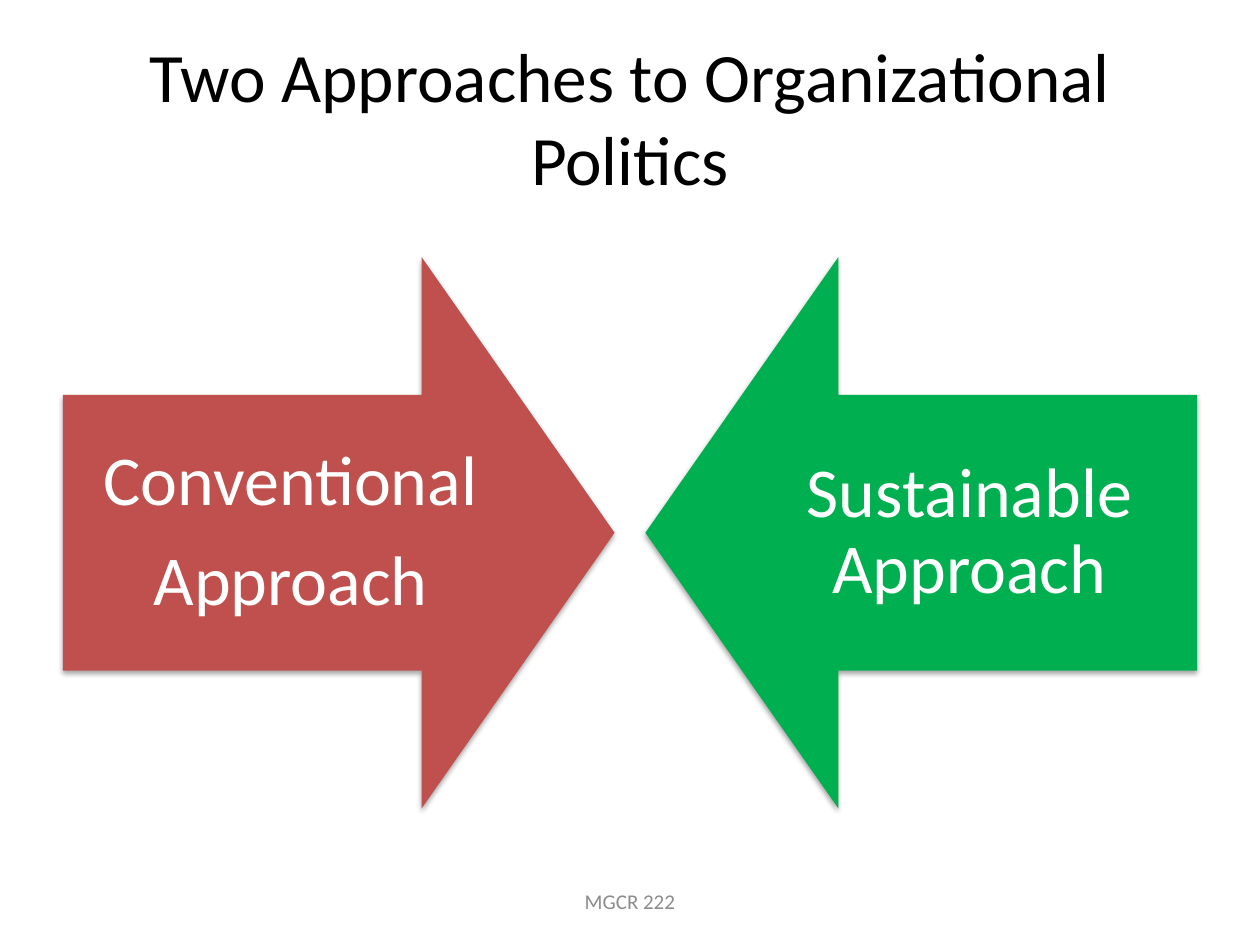
from lxml import etree
from pptx import Presentation
from pptx import util as u
from pptx.dml.color import RGBColor
from pptx.enum import shapes, text
from pptx.oxml import ns

# Content
TITLE = "Two Approaches to Organizational Politics"
FOOTER = "MGCR 222"
APPROACHES = [
    {"lines": ["Conventional", "Approach"], "fill": "C0504D", "rotation": 270},
    {"lines": ["Sustainable Approach"], "fill": "00B050", "rotation": 90},
]

# Layout in centimetres
SLIDE_WIDTH, SLIDE_HEIGHT = 25.4, 19.05
MARGIN = 1.27
ARROW_SIZE, ARROW_TOP = 11.12, 5.18
SHAFT, HEAD = 0.5, 0.35  # shares of the arrow size
LABEL_WIDTH = ARROW_SIZE * (1 - HEAD * SHAFT)
LABEL_HEIGHT = ARROW_SIZE * SHAFT
LABEL_INSET = 0.79


def color(value):
    return RGBColor.from_string(value)


def place(shape, left, top, width, height):
    shape.left, shape.top = u.Cm(left), u.Cm(top)
    shape.width, shape.height = u.Cm(width), u.Cm(height)


def write(shape, lines, size, fill, inset=None, line_spacing=None, space_after=None):
    frame = shape.text_frame
    frame.word_wrap = True
    frame.auto_size = text.MSO_AUTO_SIZE.NONE
    frame.vertical_anchor = text.MSO_ANCHOR.MIDDLE
    if inset is not None:
        frame.margin_left = frame.margin_right = u.Cm(inset)
        frame.margin_top = frame.margin_bottom = u.Cm(inset)
    for index, line in enumerate(lines):
        paragraph = frame.paragraphs[0] if index == 0 else frame.add_paragraph()
        paragraph.alignment = text.PP_ALIGN.CENTER
        if line_spacing is not None:
            paragraph.line_spacing = line_spacing
        if space_after is not None:
            paragraph.space_after = u.Pt(space_after)
        run = paragraph.add_run()
        run.text = line
        run.font.name = "Calibri"
        run.font.size = u.Pt(size)
        run.font.color.rgb = color(fill)


def add_text(slide, lines, left, top, width, height, **style):
    box = slide.shapes.add_textbox(0, 0, 0, 0)
    place(box, left, top, width, height)
    write(box, lines, **style)


def add_shadow(shape):
    shape.shadow.inherit = False
    effects = shape._element.spPr.find(ns.qn("a:effectLst"))
    shadow = etree.SubElement(
        effects, ns.qn("a:outerShdw"), blurRad=str(u.Pt(3.1)),
        dist=str(u.Pt(1.8)), dir="5400000", rotWithShape="0")
    black = etree.SubElement(shadow, ns.qn("a:srgbClr"), val="000000")
    etree.SubElement(black, ns.qn("a:alpha"), val="35000")


def add_arrow(slide, left, fill, rotation):
    arrow = slide.shapes.add_shape(shapes.MSO_SHAPE.DOWN_ARROW, 0, 0, 0, 0)
    place(arrow, left, ARROW_TOP, ARROW_SIZE, ARROW_SIZE)
    arrow.adjustments[0], arrow.adjustments[1] = SHAFT, HEAD
    arrow.rotation = rotation
    arrow.fill.solid()
    arrow.fill.fore_color.rgb = color(fill)
    arrow.line.fill.background()
    add_shadow(arrow)


def main():
    presentation = Presentation()
    presentation.slide_width = u.Cm(SLIDE_WIDTH)
    presentation.slide_height = u.Cm(SLIDE_HEIGHT)
    slide = presentation.slides.add_slide(presentation.slide_layouts[5])

    # Title
    title = slide.shapes.title
    place(title, MARGIN, 0.76, SLIDE_WIDTH - 2 * MARGIN, 3.18)
    write(title, [TITLE], size=39.6, fill="000000")

    # Facing arrows, each label against the outer edge
    right_edge = SLIDE_WIDTH - MARGIN
    arrow_lefts = [MARGIN, right_edge - ARROW_SIZE]
    label_lefts = [MARGIN, right_edge - LABEL_WIDTH]
    label_top = ARROW_TOP + (ARROW_SIZE - LABEL_HEIGHT) / 2
    for approach, arrow_left, label_left in zip(APPROACHES, arrow_lefts, label_lefts):
        add_arrow(slide, arrow_left, approach["fill"], approach["rotation"])
        add_text(slide, approach["lines"], label_left, label_top,
                 LABEL_WIDTH, LABEL_HEIGHT, size=40, fill="FFFFFF",
                 inset=LABEL_INSET, line_spacing=0.9, space_after=14)

    # Footer
    footer_width = 8.04
    add_text(slide, [FOOTER], (SLIDE_WIDTH - footer_width) / 2, 17.65,
             footer_width, 1.02, size=12, fill="8C8C8C")

    presentation.save("out.pptx")


if __name__ == "__main__":
    main()
